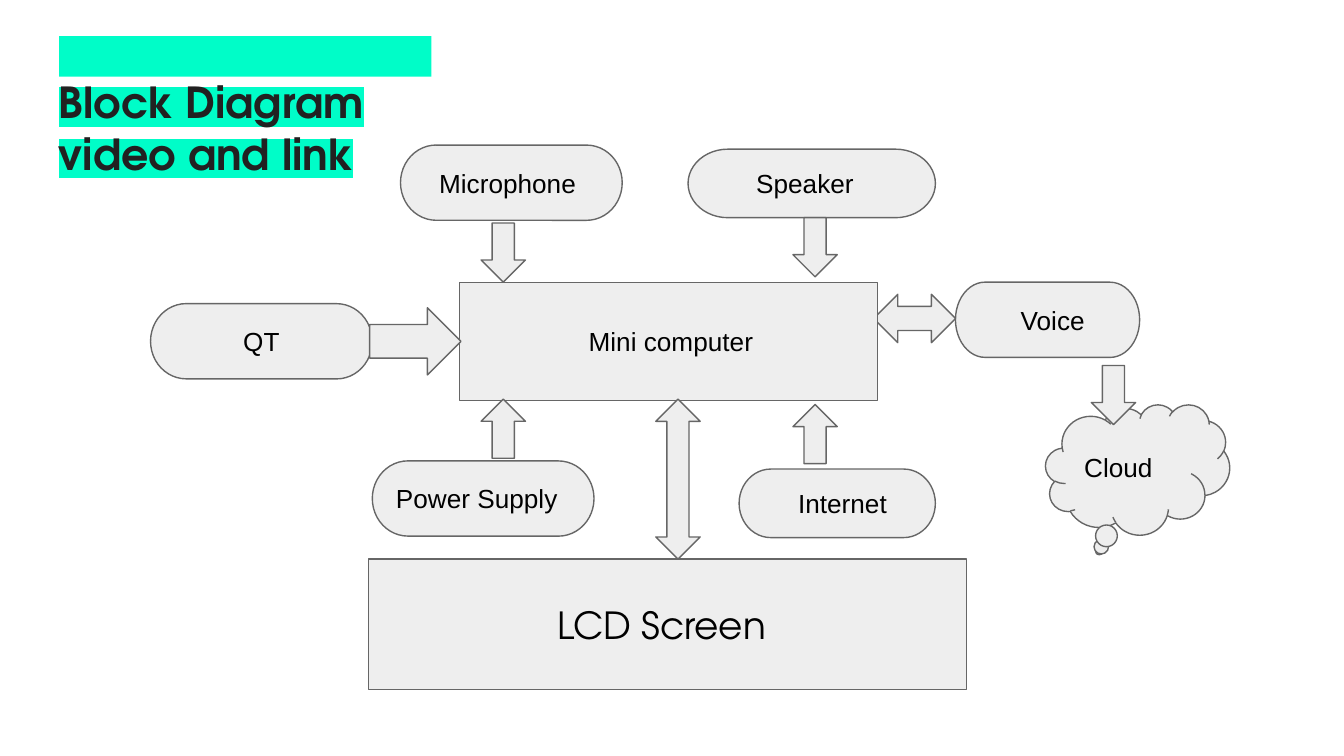
import pptx
import pptx.dml.color
import pptx.enum.shapes
import pptx.enum.text
import pptx.oxml
import pptx.oxml.ns
import pptx.util

Inches = pptx.util.Inches
KIND = pptx.enum.shapes.MSO_SHAPE
ALIGN = pptx.enum.text.PP_ALIGN
ANCHOR = pptx.enum.text.MSO_ANCHOR

SLIDE_WIDTH = Inches(10)
SLIDE_HEIGHT = SLIDE_WIDTH * 9 // 16
BLOCK_FILL, BLOCK_LINE = "EEEEEE", "666666"
HIGHLIGHT, TITLE_INK, LABEL_INK = "00FDC8", "212121", "000000"
DISPLAY_FONT, LABEL_FONT = "TeX Gyre Adventor", "Arial"
INSET = 0.1

TERMINATORS = [
    ("Microphone", (2.98, 1.08, 1.65, 0.56), 0.11),
    ("Speaker", (5.12, 1.11, 1.84, 0.51), 0.32),
    ("Voice", (7.11, 2.1, 1.37, 0.56), 0.32),
    ("Power Supply", (2.77, 3.43, 1.65, 0.56), 0),
    ("Internet", (5.5, 3.49, 1.46, 0.51), 0.27),
]
SHORT_ARROWS = [
    (KIND.DOWN_ARROW, 3.58, 1.66),
    (KIND.DOWN_ARROW, 5.9, 1.62),
    (KIND.DOWN_ARROW, 8.12, 2.72),
    (KIND.UP_ARROW, 3.58, 2.97),
    (KIND.UP_ARROW, 5.9, 3.01),
]


def rgb(value):
    """Return the colour for a hex string."""
    return pptx.dml.color.RGBColor.from_string(value)


def apply(target, values):
    """Set each named attribute on the target."""
    for name, value in values.items():
        setattr(target, name, value)


def write(frame, text, size, font=LABEL_FONT, ink=LABEL_INK, bold=False,
          align=ALIGN.LEFT, anchor=ANCHOR.MIDDLE, left=0, right=0):
    """Write one formatted run into a text frame and return it."""
    apply(frame, {
        "word_wrap": True,
        "vertical_anchor": anchor,
        "margin_left": Inches(INSET + left),
        "margin_right": Inches(INSET + right),
        "margin_top": Inches(INSET),
        "margin_bottom": Inches(INSET),
    })
    paragraph = frame.paragraphs[0]
    paragraph.alignment = align
    run = paragraph.add_run()
    run.text = text
    apply(run.font, {"size": pptx.util.Pt(size), "name": font, "bold": bold})
    run.font.color.rgb = rgb(ink)
    return run


def add_block(slide, kind, box, fill=BLOCK_FILL, line=BLOCK_LINE):
    """Add a filled shape, outlined when a line colour is given."""
    block = slide.shapes.add_shape(kind, *map(Inches, box))
    block.shadow.inherit = False
    block.fill.solid()
    block.fill.fore_color.rgb = rgb(fill)
    if line:
        block.line.color.rgb = rgb(line)
        block.line.width = pptx.util.Pt(0.75)
    else:
        block.line.fill.background()
    return block


def add_labelled(slide, kind, box, text, size=14, **style):
    """Add a block with a label inside."""
    write(add_block(slide, kind, box).text_frame, text, size, **style)


def add_title(slide):
    """Add the highlighted title under its colour bar."""
    add_block(slide, KIND.RECTANGLE, (0.44, 0.27, 2.77, 0.3), HIGHLIGHT, None)
    title = slide.shapes.add_textbox(*map(Inches, (0.34, 0.6, 3.07, 0.83)))
    run = write(title.text_frame, "Block Diagram video and link", 22.9,
                DISPLAY_FONT, TITLE_INK, bold=True, anchor=ANCHOR.BOTTOM)
    ink = run.font._element.find(pptx.oxml.ns.qn("a:solidFill"))
    ink.addnext(pptx.oxml.parse_xml(
        f'<a:highlight {pptx.oxml.ns.nsdecls("a")}>'
        f'<a:srgbClr val="{HIGHLIGHT}"/></a:highlight>'))


def main():
    """Build the block diagram slide and save it."""
    deck = pptx.Presentation()
    apply(deck, {"slide_width": SLIDE_WIDTH, "slide_height": SLIDE_HEIGHT})
    slide = deck.slides.add_slide(deck.slide_layouts[6])

    add_title(slide)
    for text, box, indent in TERMINATORS:
        add_labelled(slide, KIND.FLOWCHART_TERMINATOR, box, text, left=indent)
    add_labelled(slide, KIND.FLOWCHART_TERMINATOR, (1.12, 2.26, 1.65, 0.56),
                 "QT", align=ALIGN.CENTER)
    add_labelled(slide, KIND.RECTANGLE, (2.74, 4.16, 4.45, 0.97), "LCD Screen",
                 20, font=DISPLAY_FONT, align=ALIGN.CENTER, right=0.08)
    add_block(slide, KIND.LEFT_RIGHT_ARROW, (6.5, 2.19, 0.61, 0.36))
    add_labelled(slide, KIND.RECTANGLE, (3.42, 2.1, 3.11, 0.88),
                 "Mini computer", left=0.86)
    add_labelled(slide, KIND.CLOUD_CALLOUT, (7.78, 3.01, 1.37, 0.97), "Cloud")
    add_block(slide, KIND.UP_DOWN_ARROW, (4.88, 2.97, 0.33, 1.19))
    add_block(slide, KIND.RIGHT_ARROW, (2.75, 2.29, 0.68, 0.5))
    for kind, left, top in SHORT_ARROWS:
        add_block(slide, kind, (left, top, 0.33, 0.44))

    deck.save("out.pptx")


if __name__ == "__main__":
    main()
